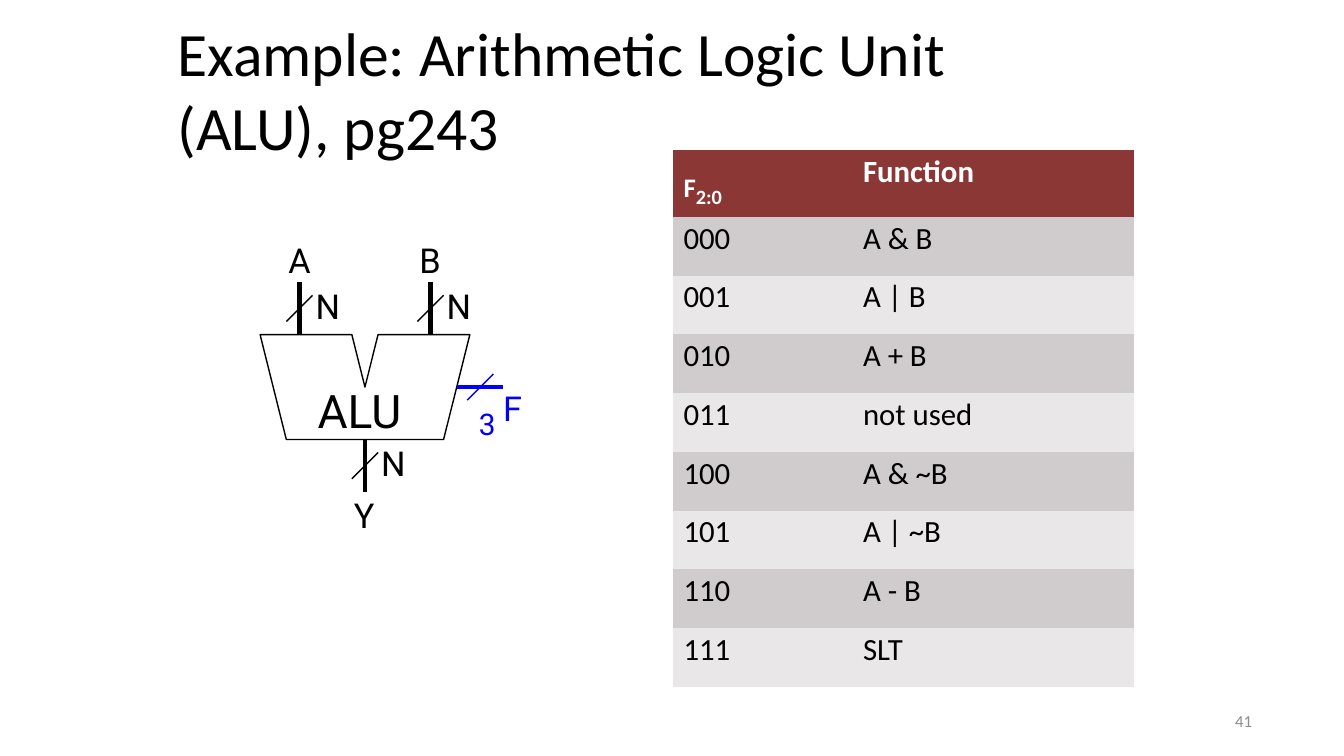
from pptx import Presentation
from pptx.dml.color import RGBColor
from pptx.enum.text import MSO_ANCHOR, MSO_AUTO_SIZE, PP_ALIGN
from pptx.enum.shapes import MSO_CONNECTOR
from pptx.oxml.ns import qn
from pptx.util import Inches, Pt
from lxml import etree

# Content
TITLE = "Example: Arithmetic Logic Unit (ALU), pg243"
PAGE = "41"
HEAD = ("F", "2:0", "Function")
ROWS = [
    ("000", "A & B"),
    ("001", "A | B"),
    ("010", "A + B"),
    ("011", "not used"),
    ("100", "A & ~B"),
    ("101", "A | ~B"),
    ("110", "A - B"),
    ("111", "SLT"),
]
COLORS = {"ink": "000000", "blue": "0000FF", "white": "FFFFFF", "gray": "8C8C8C",
          "head": "8A3735", "dark": "D0CCCD", "light": "E9E7E8"}

# Drawing grid: origin at the ALU's top left corner, in inches
UNIT, LEFT, TOP = 0.26, 2.58, 3.32
BODY = [(0, 0), (1, 4), (7, 4), (8, 0), (4.5, 0), (4, 2), (3.5, 0)]
# Bus: name, column, first row, name's offset in inches from the first row
BUSES = [("A", 1.5, -2, -0.45), ("B", 6.5, -2, -0.45), ("Y", 4, 4, 0.52)]

# Table
COLS, INDENTS, HIGH = (1.23, 3.35), (0.11, 0.66), 5.25

deck = Presentation()
deck.slide_width, deck.slide_height = Inches(13.33), Inches(7.5)
slide = deck.slides.add_slide(deck.slide_layouts[5])
shapes = slide.shapes


def color(key):
    return RGBColor.from_string(COLORS[key])


def spot(col, row):
    return LEFT + col * UNIT, TOP + row * UNIT


def style(par, size, key="ink", font="Calibri", before=0.0):
    par.font.size, par.font.name = Pt(size), font
    par.font.color.rgb = color(key)
    par.space_before = Pt(before)


def frame(shape, inset=0.0):
    text = shape.text_frame
    text.word_wrap, text.auto_size = True, MSO_AUTO_SIZE.NONE
    text.margin_left = text.margin_right = text.margin_bottom = 0
    text.margin_top = Inches(inset)
    return text


def label(words, x, y, wide=0.28, size=24.5, key="ink"):
    box = shapes.add_textbox(Inches(x), Inches(y), Inches(wide), Inches(size / 55))
    par = frame(box, 0.02).paragraphs[0]
    par.text = words
    style(par, size, key, "Roboto", 1.4)
    return par


def line(start, end, width, key="ink"):
    ends = [Inches(v) for v in spot(*start) + spot(*end)]
    wire = shapes.add_connector(MSO_CONNECTOR.STRAIGHT, *ends)
    wire.line.width, wire.line.color.rgb = Pt(width), color(key)
    etree.SubElement(wire._element.spPr, qn("a:effectLst"))


def slash(col, row, key="ink"):
    line((col + 0.5, row - 0.5), (col - 0.5, row + 0.5), 1, key)


# Title
title = shapes.title
title.left, title.top, title.width, title.height = map(Inches, (1.76, 0.15, 9.21, 1.5))
text = frame(title)
text.text, text.vertical_anchor = TITLE, MSO_ANCHOR.TOP
text.paragraphs[0].alignment = PP_ALIGN.LEFT
style(text.paragraphs[0], 44, before=1)

# ALU body
points = [tuple(Inches(v) for v in spot(*at)) for at in BODY]
pen = shapes.build_freeform(*points[0])
pen.add_line_segments(points[1:], close=True)
body = pen.convert_to_shape()
body.shadow.inherit = False
body.fill.background()
body.line.width, body.line.color.rgb = Pt(1), color("ink")
label("ALU", 3.15, 3.77, 0.93, 33)

# Data buses, each N bits wide
for name, col, row, gap in BUSES:
    line((col, row), (col, row + 2), 3)
    slash(col, row + 1)
    x, y = spot(col, row)
    label("N", x + 0.16, y + 0.01)
    label(name, x - 0.11, y + gap)

# Function select bus, three bits wide
line((9.25, 2), (7.5, 2), 3, "blue")
slash(8.4, 2, "blue")
par = label("3 ", 4.75, 3.65, 0.57, key="blue")
three = par.runs[0].font
three.size = Pt(36.8)
three._element.set("baseline", "-27000")
par.add_run().text = "F"

# Function table
grid = shapes.add_table(len(ROWS) + 1, 2, Inches(6.67), Inches(1.49),
                        Inches(sum(COLS)), Inches(HIGH)).table
grid._tbl.tblPr.find(qn("a:tableStyleId")).text = "{2D5ABB26-0587-4C30-8999-92F81FD0307C}"
for col, wide in zip(grid.columns, COLS):
    col.width = Inches(wide)
for r, row in enumerate([(HEAD[0], HEAD[2])] + ROWS):
    fill = ("dark" if r % 2 else "light") if r else "head"
    for c, words in enumerate(row):
        cell = grid.cell(r, c)
        cell.fill.solid()
        cell.fill.fore_color.rgb = color(fill)
        cell.margin_left, cell.margin_top = Inches(INDENTS[c]), Inches(0.03)
        cell.margin_right = cell.margin_bottom = 0
        par = cell.text_frame.paragraphs[0]
        par.text = words
        style(par, 22, "ink" if r else "white", before=2.1)
        par.font.bold = r == 0

# Header symbol with its subscript
first = grid.cell(0, 0)
first.margin_top = Inches(0.1)
par = first.text_frame.paragraphs[0]
par.space_before = Pt(7.4)
par.runs[0].font.size = Pt(33)
par.runs[0].font._element.set("baseline", "14000")
sub = par.add_run()
sub.text, sub.font.size = HEAD[1], Pt(14.5)

# Page number
text = frame(shapes.add_textbox(Inches(9.42), Inches(6.95), Inches(3), Inches(0.4)))
text.text, text.vertical_anchor = PAGE, MSO_ANCHOR.MIDDLE
text.paragraphs[0].alignment = PP_ALIGN.RIGHT
style(text.paragraphs[0], 12, "gray")

deck.save("out.pptx")
